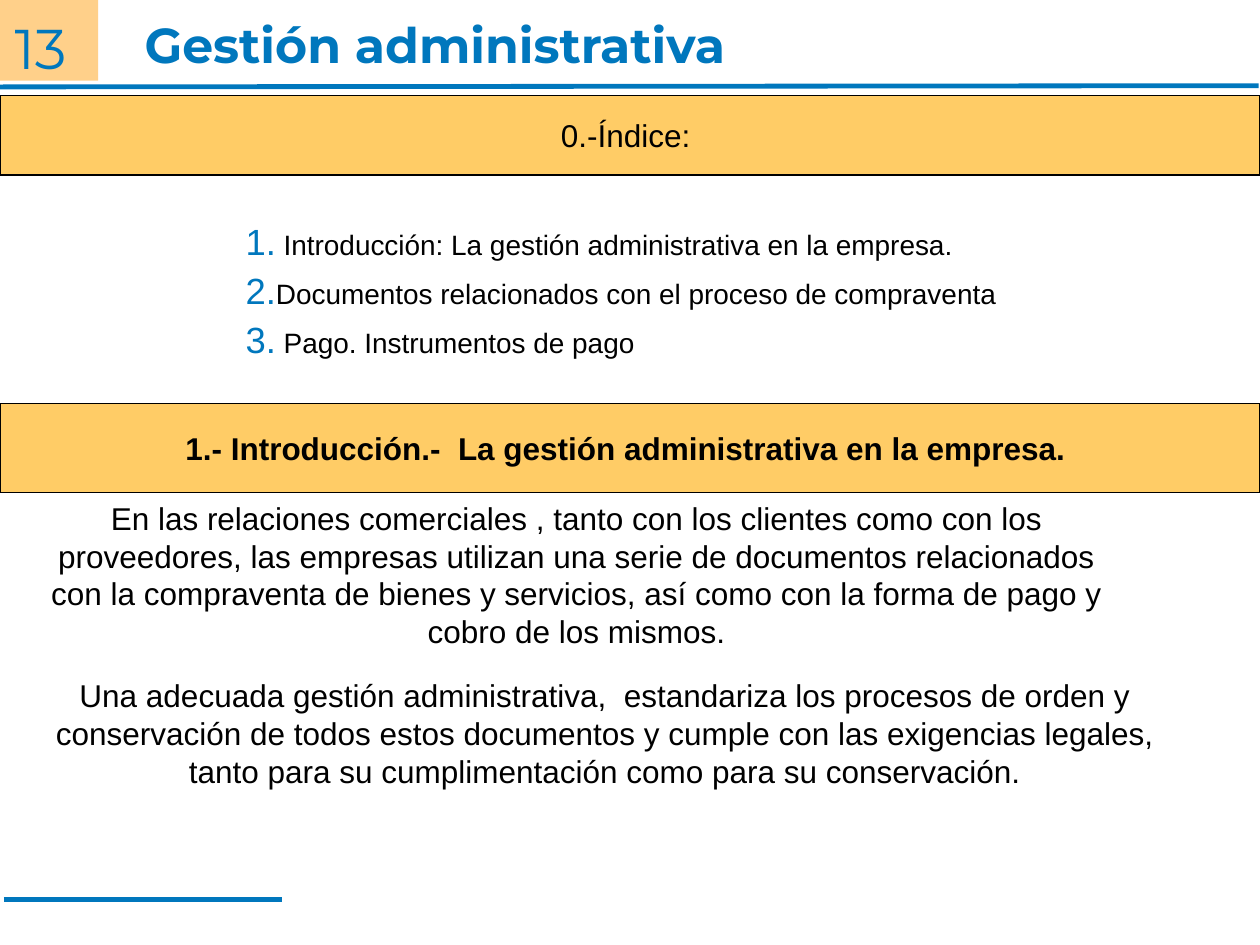
from dataclasses import dataclass

from lxml import etree
from pptx import Presentation
from pptx import util as u
from pptx.dml import color
from pptx.enum import shapes, text
from pptx.oxml import ns

COLOURS = {"blue": "0077BD", "orange": "FF9900", "sand": "FFCC66", "black": "000000"}


@dataclass
class Area:
    left: float
    top: float
    width: float
    height: float

    def lengths(self) -> list:
        return [u.Inches(v) for v in (self.left, self.top, self.width, self.height)]


@dataclass
class Bar:
    area: Area
    words: str
    bold: bool


@dataclass
class Passage:
    area: Area
    words: str


@dataclass
class Rule:
    start: tuple
    end: tuple


RULES = [Rule((-0.01, 0.69), (9.99, 0.68)), Rule((0.03, 7.14), (2.24, 7.14))]
BARS = [
    Bar(Area(0, 0.76, 10, 0.63), "0.-Índice: ", False),
    Bar(Area(0, 3.2, 10, 0.71),
        "1.- Introducción.-  La gestión administrativa en la empresa. ", True),
]
PASSAGES = [
    Passage(Area(0.2, 3.91, 8.75, 1.3),
            "En las relaciones comerciales , tanto con los clientes como con los proveedores, "
            "las empresas utilizan una serie de documentos relacionados con la compraventa de "
            "bienes y servicios, así como con la forma de pago y cobro de los mismos."),
    Passage(Area(0.27, 5.32, 9.06, 1),
            "Una adecuada gestión administrativa,  estandariza los procesos de orden y "
            "conservación de todos estos documentos y cumple con las exigencias legales, "
            "tanto para su cumplimentación como para su conservación."),
]
TOPICS = [
    " Introducción: La gestión administrativa en la empresa.",
    "Documentos relacionados con el proceso de compraventa",
    " Pago. Instrumentos de pago",
]


def rgb(name: str) -> color.RGBColor:
    return color.RGBColor.from_string(COLOURS[name])


def apply(target, formats: dict) -> None:
    for name, value in formats.items():
        setattr(target, name, value)


def add_span(para, words: str, size: float, colour: str, face: str = "Arial",
             bold: bool = False) -> None:
    span = para.add_run()
    span.text = words
    apply(span.font, {"size": u.Pt(size), "name": face, "bold": bold})
    span.font.color.rgb = rgb(colour)


def place(shape, area: Area) -> None:
    apply(shape, dict(zip(("left", "top", "width", "height"), area.lengths())))


def add_rectangle(page, area: Area, fill: str):
    box = page.shapes.add_shape(shapes.MSO_SHAPE.RECTANGLE, *area.lengths())
    box.shadow.inherit = False
    box.fill.solid()
    box.fill.fore_color.rgb = rgb(fill)
    return box


def add_rule(page, rule: Rule) -> None:
    ends = [u.Inches(v) for v in rule.start + rule.end]
    line = page.shapes.add_connector(shapes.MSO_CONNECTOR.STRAIGHT, *ends)
    line.line.color.rgb = rgb("blue")
    line.line.width = u.Pt(2.75)
    etree.SubElement(line._element.spPr, ns.qn("a:effectLst"))


def add_unit_number(page) -> None:
    box = add_rectangle(page, Area(0, 0, 0.78, 0.64), "orange")
    box.line.fill.background()
    tint = box._element.spPr.find(".//" + ns.qn("a:srgbClr"))
    etree.SubElement(tint, ns.qn("a:alpha"), val="46000")
    apply(box.text_frame, {"margin_left": 0, "margin_top": 0, "margin_right": 0,
                           "margin_bottom": 0, "word_wrap": True,
                           "vertical_anchor": text.MSO_ANCHOR.TOP})
    para = box.text_frame.paragraphs[0]
    apply(para, {"alignment": text.PP_ALIGN.LEFT, "line_spacing": 1.2})
    add_span(para, " 13", 32, "blue", "Montserrat")


def fill_title(page) -> None:
    title = page.shapes.title
    place(title, Area(0.94, 0.16, 6.93, 0.38))
    apply(title.text_frame, {"auto_size": text.MSO_AUTO_SIZE.NONE,
                             "vertical_anchor": text.MSO_ANCHOR.MIDDLE})
    para = title.text_frame.paragraphs[0]
    para.alignment = text.PP_ALIGN.LEFT
    add_span(para, " ", 28, "blue", bold=True)
    add_span(para, "Gestión administrativa", 28, "blue", "Montserrat", True)


def number_paragraph(para) -> None:
    settings = para._p.get_or_add_pPr()
    settings.set("marL", "0")
    settings.set("indent", "0")
    tint = etree.SubElement(settings, ns.qn("a:buClr"))
    etree.SubElement(tint, ns.qn("a:srgbClr"), val=COLOURS["blue"])
    etree.SubElement(settings, ns.qn("a:buSzPct"), val="130000")
    etree.SubElement(settings, ns.qn("a:buFont"), typeface="Arial")
    etree.SubElement(settings, ns.qn("a:buAutoNum"), type="arabicPeriod")


def fill_topics(page) -> None:
    body = page.placeholders[1]
    place(body, Area(1.85, 1.7, 6.69, 1.42))
    frame = body.text_frame
    frame.auto_size = text.MSO_AUTO_SIZE.NONE
    for index, topic in enumerate(TOPICS):
        para = frame.add_paragraph() if index else frame.paragraphs[0]
        number_paragraph(para)
        apply(para, {"alignment": text.PP_ALIGN.LEFT, "line_spacing": 1.2,
                     "space_before": u.Pt(3 if index else 0), "space_after": u.Pt(2)})
        add_span(para, topic, 16, "black")


def add_bar(page, bar: Bar) -> None:
    box = add_rectangle(page, bar.area, "sand")
    box.line.color.rgb = rgb("black")
    box.line.width = u.Pt(0.75)
    apply(box.text_frame, {"word_wrap": False,
                           "vertical_anchor": text.MSO_ANCHOR.MIDDLE})
    para = box.text_frame.paragraphs[0]
    para.alignment = text.PP_ALIGN.CENTER
    add_span(para, bar.words, 18, "black", bold=bar.bold)


def add_passage(page, passage: Passage) -> None:
    box = page.shapes.add_textbox(*passage.area.lengths())
    box.text_frame.word_wrap = True
    para = box.text_frame.paragraphs[0]
    para.alignment = text.PP_ALIGN.CENTER
    add_span(para, passage.words, 18, "black")


def main() -> None:
    deck = Presentation()
    apply(deck, {"slide_width": u.Inches(10), "slide_height": u.Inches(7.5)})
    page = deck.slides.add_slide(deck.slide_layouts[1])
    for rule in RULES:
        add_rule(page, rule)
    add_unit_number(page)
    fill_title(page)
    fill_topics(page)
    for bar in BARS:
        add_bar(page, bar)
    for passage in PASSAGES:
        add_passage(page, passage)
    deck.save("out.pptx")


if __name__ == "__main__":
    main()
